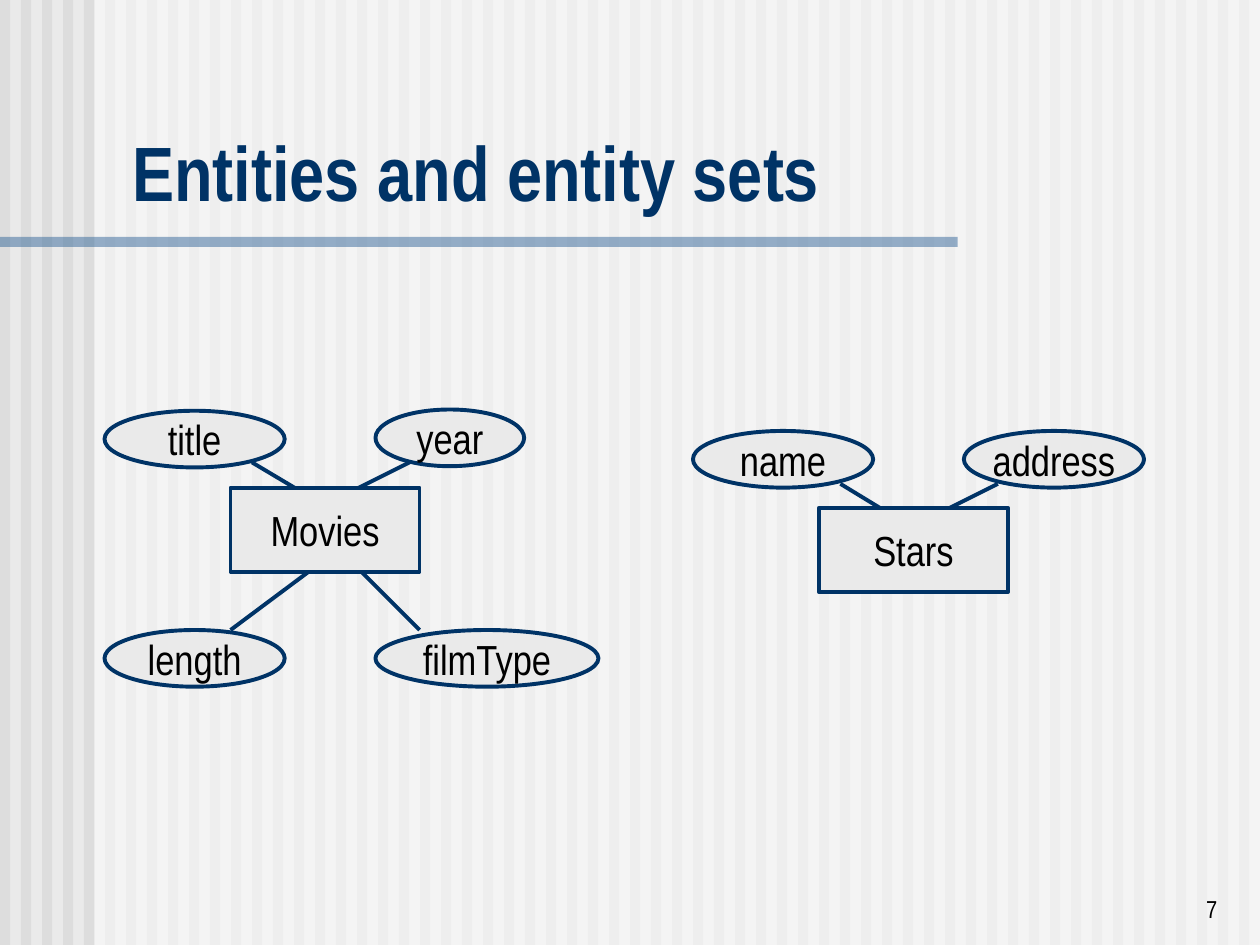
from lxml import etree
from pptx import Presentation
from pptx.dml.color import RGBColor
from pptx.enum.shapes import MSO_CONNECTOR as Link, MSO_SHAPE as Kind
from pptx.enum.text import MSO_ANCHOR as Anchor, PP_ALIGN as Align
from pptx.oxml.ns import qn
from pptx.util import Inches, Pt

rgb = RGBColor.from_string
NAVY, PALE = "003366", "EAEAEA"

deck = Presentation()
deck.slide_width, deck.slide_height = Inches(10), Inches(7.5)
slide = deck.slides.add_slide(deck.slide_layouts[6])
shapes = slide.shapes


def block(kind, spot, fill, alpha=None):
    """Add a filled shape without outline, alpha in percent."""
    shape = shapes.add_shape(kind, *[Inches(n) for n in spot])
    shape.shadow.inherit = False
    shape.fill.solid()
    shape.fill.fore_color.rgb = rgb(fill)
    shape.line.fill.background()
    if alpha:
        tint = shape._element.spPr.find(".//" + qn("a:srgbClr"))
        etree.SubElement(tint, qn("a:alpha"), val=str(alpha * 1000))
    return shape


def write(shape, text, size, color, align, anchor, wrap=True, bold=False):
    """Put one line of text into a shape or text box."""
    frame = shape.text_frame
    frame.word_wrap = wrap
    frame.vertical_anchor = anchor
    para = frame.paragraphs[0]
    para.alignment = align
    run = para.add_run()
    run.text = text
    font = run.font
    font.name, font.size, font.bold = "Arial Narrow", Pt(size), bold
    font.color.rgb = rgb(color)


# Striped background, white veil and title rule
slide.background.fill.solid()
slide.background.fill.fore_color.rgb = rgb(PALE)
for i in range(60):
    block(Kind.RECTANGLE, (i / 6, 0, 0.08, 7.5), "DDDDDD")
block(Kind.RECTANGLE, (0.75, 0, 9.25, 7.5), "FFFFFF", 50)
block(Kind.RECTANGLE, (0, 1.88, 7.6, 0.08), "336699", 50)

# Title
title = shapes.add_textbox(Inches(0.95), Inches(0.94), Inches(8.93), Inches(0.83))
write(title, "Entities and entity sets", 44, NAVY, Align.LEFT, Anchor.BOTTOM, bold=True)

# Links between entity sets and attributes
links = [
    (1.83, 5, 2.5, 4.5), (3.33, 5, 2.83, 4.5),
    (2, 3.67, 2.42, 3.92), (3.25, 3.67, 2.75, 3.92),
    (6.67, 3.84, 7.08, 4.09), (7.92, 3.84, 7.42, 4.09),
]
ovals = [
    ("length", 0.83, 5, 1.43), ("filmType", 2.98, 5, 1.77),
    ("title", 0.83, 3.26, 1.43), ("year", 2.98, 3.25, 1.18),
    ("name", 5.5, 3.42, 1.43), ("address", 7.65, 3.42, 1.43),
]
sets = [("Movies", 1.83, 3.87), ("Stars", 6.5, 4.03)]

# Attribute ovals lie under the links, entity boxes over them
nodes = [(Kind.OVAL, name, (x, y, w, 0.45)) for name, x, y, w in ovals]
nodes += [(Kind.RECTANGLE, name, (x, y, 1.5, 0.67)) for name, x, y in sets]
for i, (kind, name, spot) in enumerate(nodes):
    if i == len(ovals):
        for ends in links:
            link = shapes.add_connector(Link.STRAIGHT, *[Inches(n) for n in ends])
            link.line.color.rgb = rgb(NAVY)
            link.line.width = Pt(2.25)
            etree.SubElement(link._element.spPr, qn("a:effectLst"))
    node = block(kind, spot, PALE)
    node.line.color.rgb = rgb(NAVY)
    node.line.width = Pt(2.25)
    write(node, name, 24, "000000", Align.CENTER, Anchor.MIDDLE, wrap=False)

# Page number
page = shapes.add_textbox(Inches(7.68), Inches(6.88), Inches(2.08), Inches(0.5))
write(page, "7", 14, "000000", Align.RIGHT, Anchor.BOTTOM)

deck.save("out.pptx")
